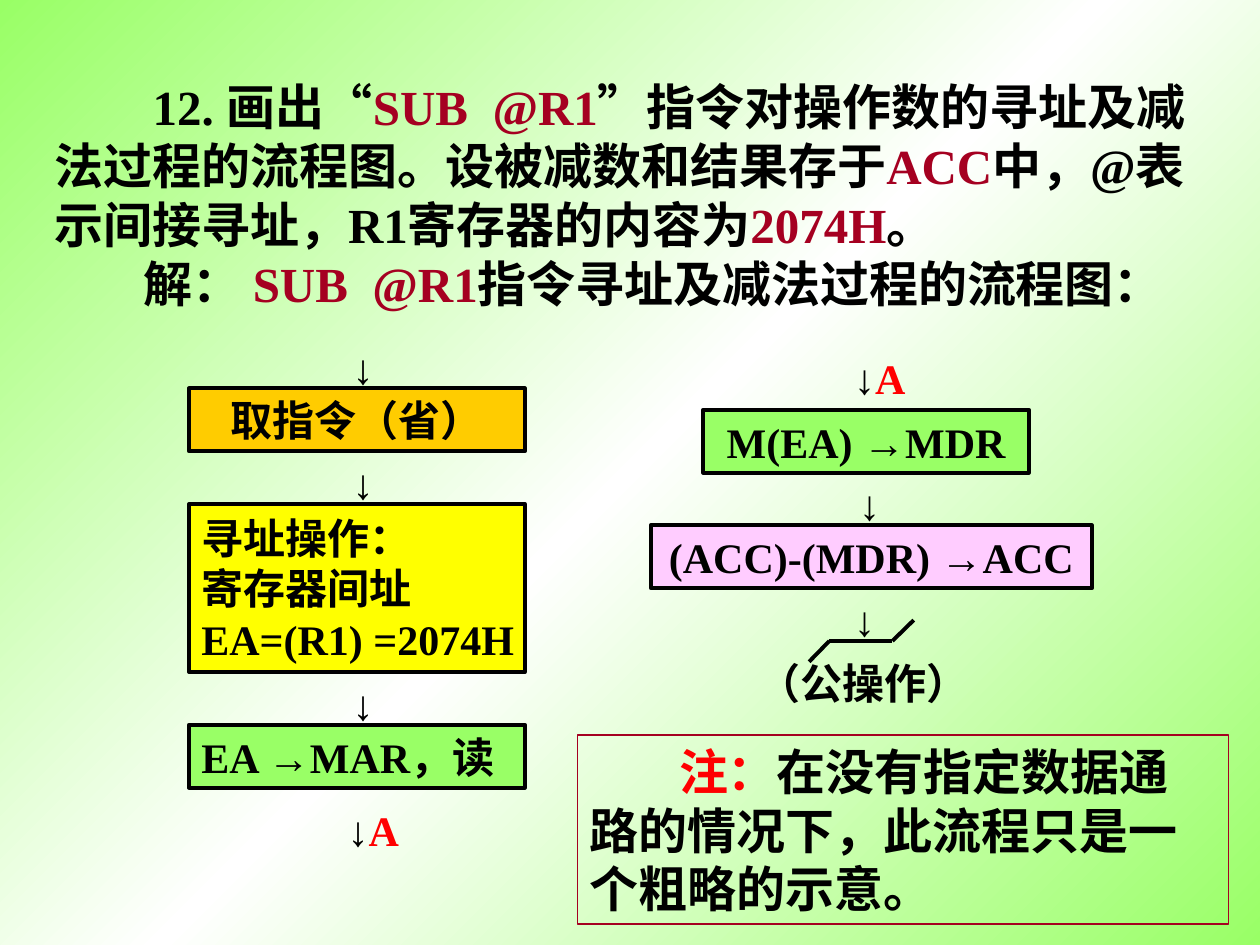
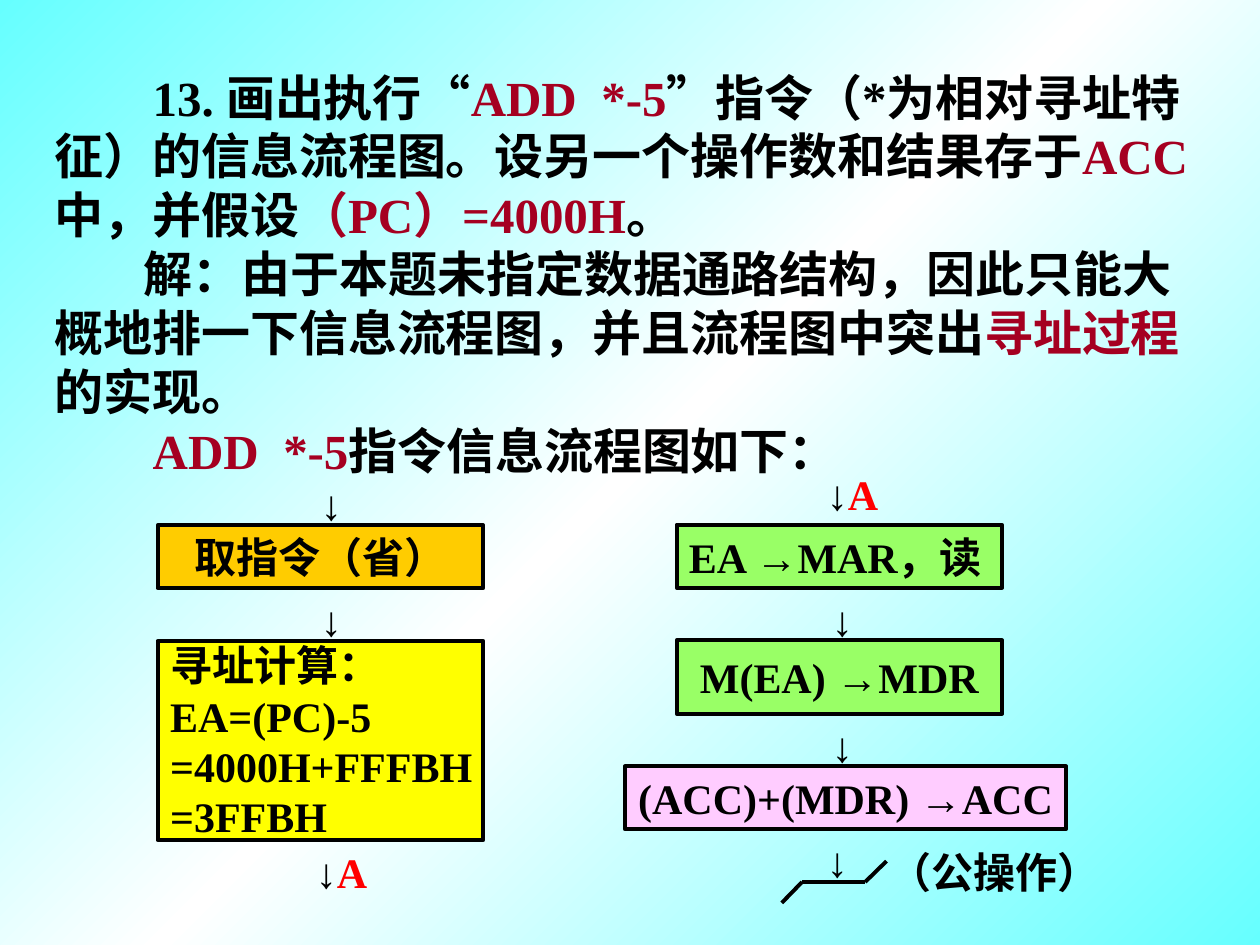
from dataclasses import dataclass
from itertools import groupby, pairwise
from copy import deepcopy

from pptx import Presentation
from pptx import util as u
from pptx.dml.color import RGBColor
from pptx.enum import shapes, text
from pptx.oxml import ns, xmlchemy


# Theme: colours, fonts, type sizes and shared lengths (cm)
@dataclass(frozen=True)
class Theme:
    ink: str = "000000"
    crimson: str = "A50021"
    red: str = "FF0000"
    white: str = "FFFFFF"
    orange: str = "FFCC00"
    yellow: str = "FFFF00"
    green: str = "99FF66"
    pink: str = "FFCCFF"
    cyan: str = "66FFFF"
    body_font: str = "Times New Roman"
    arrow_font: str = "Arial"
    question_size: int = 28
    flow_size: int = 24
    heavy: float = 2.25
    thin: float = 0.75
    row: float = 1.27
    gap: float = 1.06
    latin_indent: float = 1.98
    han_indent: float = 1.8


THEME = Theme()


@dataclass
class Step:
    lines: str
    fill: str
    left: float
    width: float
    height: float = THEME.row
    centred: bool = True


def rgb(value):
    return RGBColor.from_string(value)


def write(box, content, *, size=THEME.flow_size, color=THEME.ink, accent=THEME.red,
          centred=False, indents=()):
    """Write one paragraph per line; parts between bars take the accent colour."""
    frame = box.text_frame
    for row, line in enumerate(content.split("\n")):
        para = frame.paragraphs[0] if row == 0 else frame.add_paragraph()
        para.alignment = text.PP_ALIGN.CENTER if centred else text.PP_ALIGN.LEFT
        if indents:
            props = para._p.get_or_add_pPr()
            props.set("marL", "0")
            props.set("indent", str(int(u.Cm(indents[row]))))
        for number, part in enumerate(line.split("|")):
            for is_arrow, letters in groupby(part, key=lambda letter: letter in "→↓"):
                span = para.add_run()
                span.text = "".join(letters)
                span.font.name = THEME.arrow_font if is_arrow else THEME.body_font
                span.font.size = u.Pt(size)
                span.font.bold = True
                span.font.color.rgb = rgb(accent if number % 2 else color)


class Builder:
    """Holds the theme and the slide being drawn."""

    def __init__(self, deck, theme):
        self.deck, self.theme, self.page = deck, theme, None

    def new_page(self, tint):
        self.page = self.deck.slides.add_slide(self.deck.slide_layouts[6])
        fill = self.page.background.fill
        fill.gradient()
        fill.gradient_angle = 135
        first = next(self.page.element.iter(ns.qn("a:gs")))
        first.addnext(deepcopy(first))
        for stop, position, color in zip(fill.gradient_stops, (0, 0.5, 1),
                                         (tint, self.theme.white, tint)):
            stop.position = position
            stop.color.rgb = rgb(color)

    def label(self, content, left, top, width, height=THEME.row, *, wrap=False,
              middle=False, **style):
        box = self.page.shapes.add_textbox(*map(u.Cm, (left, top, width, height)))
        box.text_frame.word_wrap = wrap
        if middle:
            box.text_frame.vertical_anchor = text.MSO_ANCHOR.MIDDLE
        write(box, content, **style)

    def question(self, content, height, indents):
        self.label(content, 0.85, 1.06, 23.71, height, wrap=True, middle=True,
                   size=self.theme.question_size, accent=self.theme.crimson,
                   indents=indents)

    def panel(self, content, left, top, width, height, *, fill=None, line=THEME.ink,
              weight=THEME.heavy, wrap=False, anchor=text.MSO_ANCHOR.MIDDLE, **style):
        box = self.page.shapes.add_shape(
            shapes.MSO_SHAPE.RECTANGLE, *map(u.Cm, (left, top, width, height)))
        box.shadow.inherit = False
        if fill:
            box.fill.solid()
            box.fill.fore_color.rgb = rgb(fill)
        else:
            box.fill.background()
        box.line.color.rgb = rgb(line)
        box.line.width = u.Pt(weight)
        box.text_frame.word_wrap = wrap
        box.text_frame.vertical_anchor = anchor
        write(box, content, **style)

    def line(self, start, end):
        stroke = self.page.shapes.add_connector(
            shapes.MSO_CONNECTOR.STRAIGHT, *map(u.Cm, (*start, *end)))
        stroke.line.color.rgb = rgb(self.theme.ink)
        stroke.line.width = u.Pt(self.theme.heavy)
        stroke._element.spPr.append(xmlchemy.OxmlElement("a:effectLst"))

    def arrow(self, left, top, mark=""):
        if mark:
            self.label(f"↓|{mark}|", left - 0.1, top, 1.9, wrap=True)
        else:
            self.label("↓", left, top, 0.85)

    def flow(self, left, top, steps, *, entry="", leave="", leave_gap=0):
        """Draw a column of steps, each under its arrow; return the last arrow's top."""
        mark = entry
        for step in steps:
            self.arrow(left, top, mark)
            top += self.theme.row if mark else self.theme.gap
            self.panel(step.lines, step.left, top, step.width, step.height,
                       fill=step.fill, centred=step.centred)
            top += step.height
            mark = ""
        top += leave_gap
        self.arrow(left if leave else left - 0.1, top, leave)
        return top

    def end_mark(self, left, top, label_left, label_top):
        """Bent line and label that close the flow, set against its last arrow."""
        bends = [(-0.76, 1.48), (-0.35, 1.06), (0.92, 1.06), (1.35, 0.64)]
        points = [(left + across, top + down) for across, down in bends]
        for start, end in pairwise(points):
            self.line(start, end)
        # Six full-width letters and both insets need 5.6 cm
        self.label("（公操作）", label_left, label_top, 5.8)


def subtraction_page(build):
    build.new_page(THEME.green)
    build.question(
        "12. 画出“|SUB  @R1|”指令对操作数的寻址及减法过程的流程图。"
        "设被减数和结果存于|ACC|中，@表示间接寻址，R1寄存器的内容为|2074H|。\n"
        "解： |SUB  @R1|指令寻址及减法过程的流程图：",
        5.72, (THEME.latin_indent, THEME.han_indent))

    # Fetch and addressing
    build.flow(6.86, 6.77, [
        Step("取指令（省）", THEME.orange, 3.81, 6.77),
        Step("寻址操作：\n寄存器间址\nEA=(R1) =2074H", THEME.yellow, 3.81, 6.77, 3.39, False),
        Step("EA →MAR，读", THEME.green, 3.81, 6.77, centred=False),
    ], leave="A", leave_gap=0.21)

    # Execution
    right = 17.07
    last = build.flow(right, 6.99, [
        Step("M(EA) →MDR", THEME.green, 14.18, 6.56),
        Step("(ACC)-(MDR) →ACC", THEME.pink, 13.12, 8.89),
    ], entry="A")
    build.end_mark(right, last, 15.04, 13.12)

    # Remark
    build.panel("|注：|在没有指定数据通路的情况下，此流程只是一个粗略的示意。",
                11.64, 14.82, 13.12, 3.81, line=THEME.crimson, weight=THEME.thin,
                wrap=True, anchor=text.MSO_ANCHOR.TOP, size=THEME.question_size,
                indents=(THEME.han_indent,))


def addition_page(build):
    build.new_page(THEME.cyan)
    build.question(
        "13. 画出执行“|ADD  *-5|”指令（*为相对寻址特征）的信息流程图。"
        "设另一个操作数和结果存于|ACC|中，并假设|（PC）=4000H|。\n"
        "解：由于本题未指定数据通路结构，因此只能大概地排一下信息流程图，"
        "并且流程图中突出|寻址过程|的实现。\n"
        "|ADD  *-5|指令信息流程图如下：",
        8.89, (THEME.latin_indent, THEME.han_indent, THEME.latin_indent))

    # Fetch and addressing
    build.flow(6.22, 9.53, [
        Step("取指令（省）", THEME.orange, 3.18, 6.56),
        Step("寻址计算：\nEA=(PC)-5\n=4000H+FFFBH\n=3FFBH", THEME.yellow, 3.18, 6.56, 4.02, False),
    ], leave="A")

    # Execution
    right = 16.52
    last = build.flow(right, 9.31, [
        Step("EA →MAR，读", THEME.green, 13.64, 6.56, centred=False),
        Step("M(EA) →MDR", THEME.green, 13.64, 6.56, 1.48),
        Step("(ACC)+(MDR) →ACC", THEME.pink, 12.6, 8.89),
    ], entry="A")
    build.end_mark(right, last, 17.68, 16.93)


def main():
    deck = Presentation()
    deck.slide_width, deck.slide_height = u.Cm(25.4), u.Cm(19.05)
    build = Builder(deck, THEME)
    subtraction_page(build)
    addition_page(build)
    deck.save("out.pptx")


if __name__ == "__main__":
    main()
